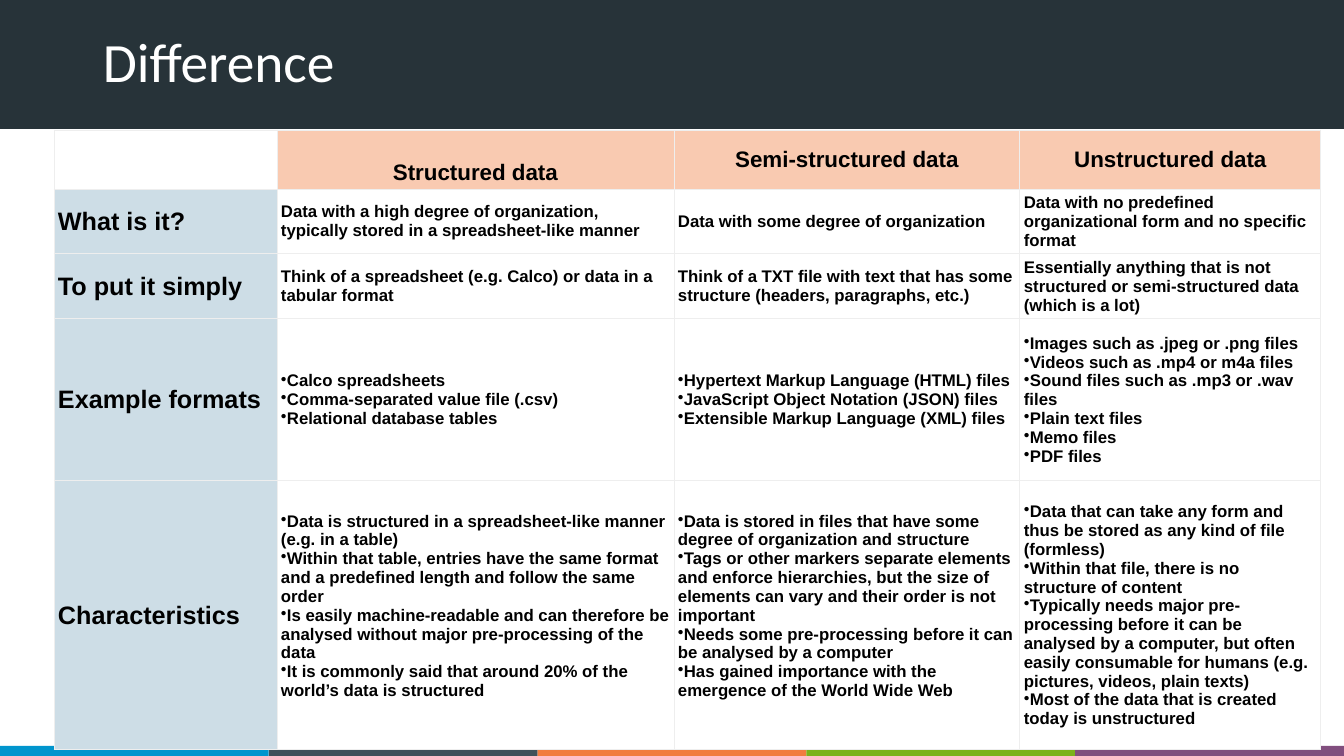
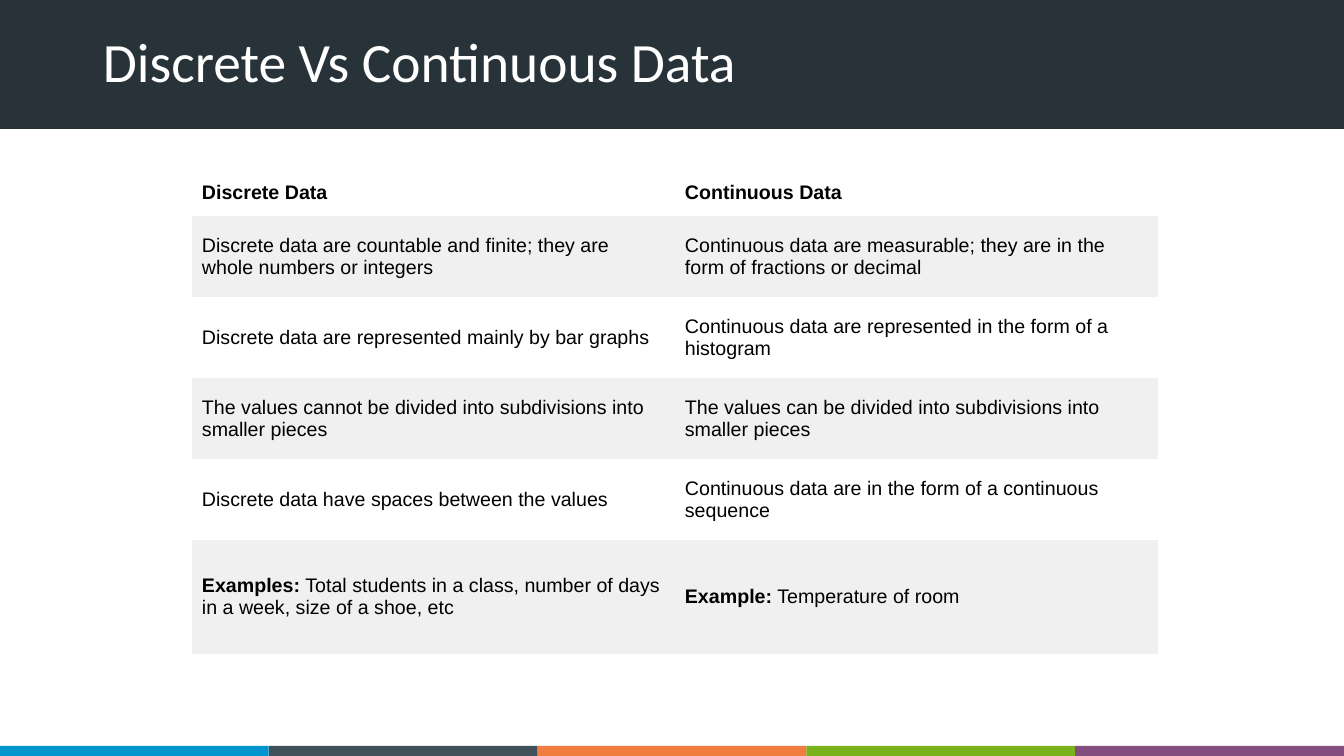
from lxml import etree
from pptx import Presentation, util as u
from pptx.dml.color import RGBColor
from pptx.enum import shapes, text
from pptx.oxml import ns

PX = 914400 / 100.8
WIDTH, HEIGHT = 1344, 756
COLOURS = {
    "band": "273339", "title": "FFFFFF", "text": "000000", "plain": "FFFFFF",
    "heading": "F9CAB1", "label": "CDDDE6", "stripe": "F0F0F0", "border": "EEEEEE",
}
FOOTER = ["0095CD", "40515A", "F17C3F", "7BB21B", "814E7E"]
NO_STYLE = "{2D5ABB26-0587-4C30-8999-92F81FD0307C}"


def px(n):
    return u.Emu(round(n * PX))


def add_grid(slide, left, top, widths, heights, rows, pad_x, pad_y):
    """Add an unstyled table; a list in a cell becomes a bulleted list."""
    table = slide.shapes.add_table(len(heights), len(widths), px(left), px(top),
                                   px(sum(widths)), px(sum(heights))).table
    table.first_row = table.horz_banding = False
    table._tbl.tblPr.find(ns.qn("a:tableStyleId")).text = NO_STYLE
    for column, width in zip(table.columns, widths):
        column.width = px(width)
    for row, height, contents in zip(table.rows, heights, rows):
        row.height = px(height)
        for cell, content in zip(row.cells, contents):
            cell.margin_left = cell.margin_right = px(pad_x)
            cell.margin_top = cell.margin_bottom = px(pad_y)
            cell.vertical_anchor = text.MSO_ANCHOR.MIDDLE
            bulleted = isinstance(content, list)
            cell.text_frame.text = "\n".join(content) if bulleted else content
            for paragraph in cell.text_frame.paragraphs:
                if bulleted:
                    properties = paragraph._p.get_or_add_pPr()
                    properties.set("marL", "0")
                    properties.set("indent", str(-px(8)))
                    etree.SubElement(properties, ns.qn("a:buChar"), char="•")
    return table


prs = Presentation()
prs.slide_width, prs.slide_height = px(WIDTH), px(HEIGHT)

segment = WIDTH / len(FOOTER)
bars = [(i * segment, 746, segment, 10, colour) for i, colour in enumerate(FOOTER)]
bars.append((0, -1, WIDTH, 130, COLOURS["band"]))

slides = []
for heading in ["Difference", "Discrete Vs Continuous Data"]:
    slide = prs.slides.add_slide(prs.slide_layouts[6])
    slides.append(slide)
    for left, top, width, height, colour in bars:
        bar = slide.shapes.add_shape(shapes.MSO_SHAPE.RECTANGLE,
                                     px(left), px(top), px(width), px(height))
        bar.shadow.inherit = False
        bar.fill.solid()
        bar.fill.fore_color.rgb = RGBColor.from_string(colour)
        bar.line.fill.background()
    title = slide.shapes.add_textbox(px(93), px(27), px(1159), px(75)).text_frame
    title.word_wrap = True
    title.vertical_anchor = text.MSO_ANCHOR.MIDDLE
    title.text = heading
    title.paragraphs[0].line_spacing = 0.9
    font = title.paragraphs[0].runs[0].font
    font.name, font.size = "Calibri", u.Pt(39.6)
    font.color.rgb = RGBColor.from_string(COLOURS["title"])

# Kinds of data by structure
structure_rows = [
    ["", "Structured data", "Semi-structured data", "Unstructured data"],
    ["What is it?",
     "Data with a high degree of organization, typically stored in a spreadsheet-like manner",
     "Data with some degree of organization",
     "Data with no predefined organizational form and no specific format"],
    ["To put it simply",
     "Think of a spreadsheet (e.g. Calco) or data in a tabular format",
     "Think of a TXT file with text that has some structure (headers, paragraphs, etc.)",
     "Essentially anything that is not structured or semi-structured data (which is a lot)"],
    ["Example formats",
     ["Calco spreadsheets",
      "Comma-separated value file (.csv)",
      "Relational database tables"],
     ["Hypertext Markup Language (HTML) files",
      "JavaScript Object Notation (JSON) files",
      "Extensible Markup Language (XML) files"],
     ["Images such as .jpeg or .png files",
      "Videos such as .mp4 or m4a files",
      "Sound files such as .mp3 or .wav files",
      "Plain text files",
      "Memo files",
      "PDF files"]],
    ["Characteristics",
     ["Data is structured in a spreadsheet-like manner (e.g. in a table)",
      "Within that table, entries have the same format and a predefined length and follow "
      "the same order",
      "Is easily machine-readable and can therefore be analysed without major "
      "pre-processing of the data",
      "It is commonly said that around 20% of the world’s data is structured"],
     ["Data is stored in files that have some degree of organization and structure",
      "Tags or other markers separate elements and enforce hierarchies, but the size of "
      "elements can vary and their order is not important",
      "Needs some pre-processing before it can be analysed by a computer",
      "Has gained importance with the emergence of the World Wide Web"],
     ["Data that can take any form and thus be stored as any kind of file (formless)",
      "Within that file, there is no structure of content",
      "Typically needs major pre-processing before it can be analysed by a computer, but "
      "often easily consumable for humans (e.g. pictures, videos, plain texts)",
      "Most of the data that is created today is unstructured"]],
]
structure = add_grid(slides[0], 54, 130, [223, 397, 346, 301], [59, 65, 65, 162, 269],
                     structure_rows, 4, 2)
for r, row in enumerate(structure.rows):
    for c, cell in enumerate(row.cells):
        if r == 0:
            fill, size = ("heading" if c else "plain"), 16
        else:
            fill, size = ("plain", 12) if c else ("label", 18)
        for side in ["lnL", "lnR", "lnT", "lnB"]:
            line = etree.SubElement(cell._tc.get_or_add_tcPr(), ns.qn("a:" + side),
                                    w=str(u.Pt(0.75)))
            paint = etree.SubElement(line, ns.qn("a:solidFill"))
            etree.SubElement(paint, ns.qn("a:srgbClr"), val=COLOURS["border"])
        cell.fill.solid()
        cell.fill.fore_color.rgb = RGBColor.from_string(COLOURS[fill])
        for paragraph in cell.text_frame.paragraphs:
            if r == 0:
                paragraph.alignment = text.PP_ALIGN.CENTER
            for run in paragraph.runs:
                run.font.size, run.font.bold = u.Pt(size), True
structure.cell(0, 1).margin_top = px(28)
for c in (1, 2):
    structure.cell(4, c).margin_bottom = px(21)

# Discrete and continuous data side by side
comparison_rows = [
    ["Discrete Data", "Continuous Data"],
    ["Discrete data are countable and finite; they are whole numbers or integers",
     "Continuous data are measurable; they are in the form of fractions or decimal"],
    ["Discrete data are represented mainly by bar graphs",
     "Continuous data are represented in the form of a histogram"],
    ["The values cannot be divided into subdivisions into smaller pieces",
     "The values can be divided into subdivisions into smaller pieces"],
    ["Discrete data have spaces between the values",
     "Continuous data are in the form of a continuous sequence"],
    ["Examples:", "Example:"],
]
examples = [" Total students in a class, number of days in a week, size of a shoe, etc",
            " Temperature of room"]
comparison = add_grid(slides[1], 192, 169, [483] * 2, [47] + [81] * 4 + [114],
                      comparison_rows, 10, 5)
for r, row in enumerate(comparison.rows):
    for cell, example in zip(row.cells, examples):
        cell.fill.solid()
        cell.fill.fore_color.rgb = RGBColor.from_string(
            COLOURS["stripe" if r % 2 else "plain"])
        paragraph = cell.text_frame.paragraphs[0]
        paragraph.runs[0].font.bold = r in (0, 5)
        if r == 5:
            paragraph.add_run().text = example
        for run in paragraph.runs:
            run.font.size = u.Pt(14)

for table in (structure, comparison):
    for cell in table.iter_cells():
        for paragraph in cell.text_frame.paragraphs:
            for run in paragraph.runs:
                run.font.name = "Arial"
                run.font.color.rgb = RGBColor.from_string(COLOURS["text"])

prs.save("out.pptx")
